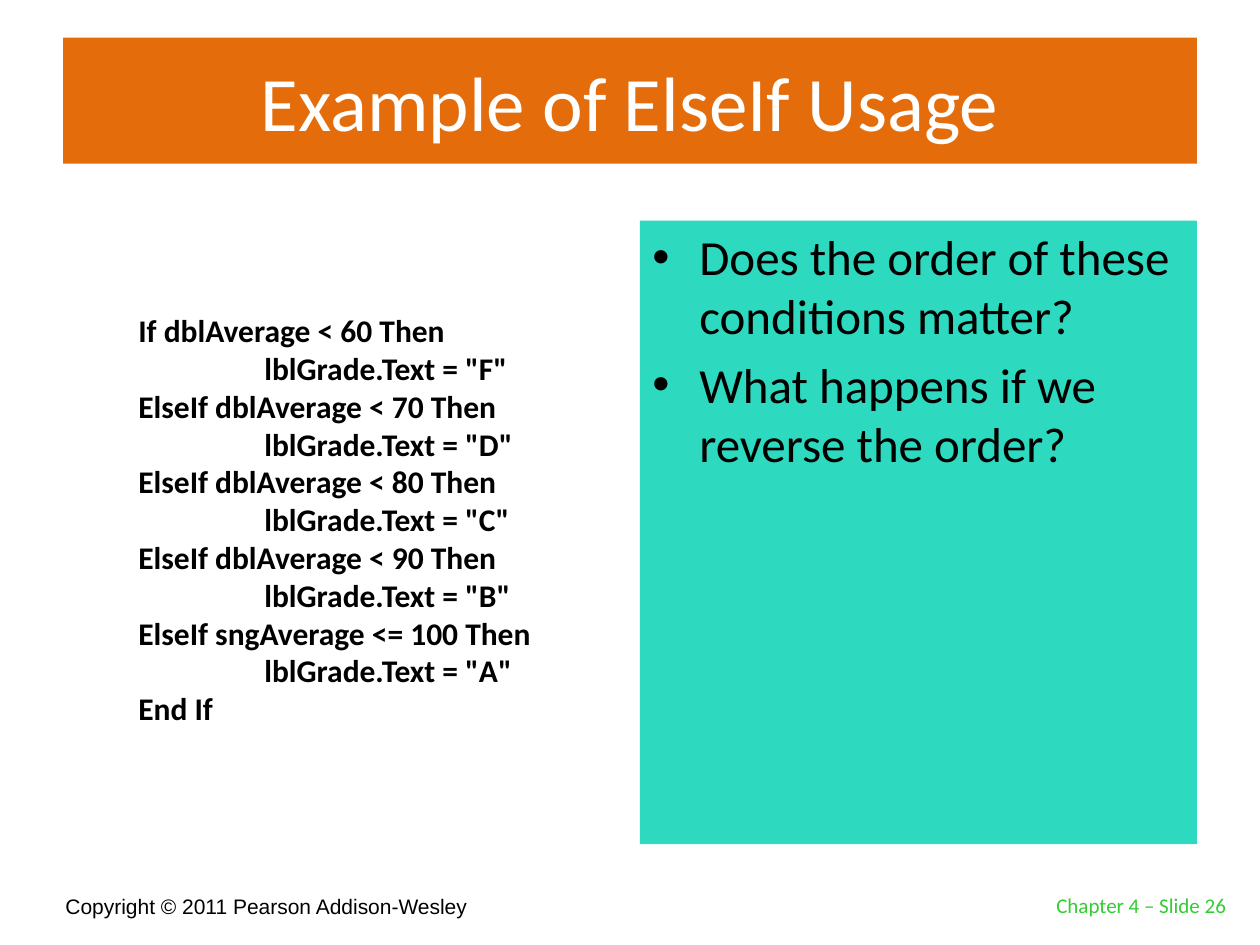
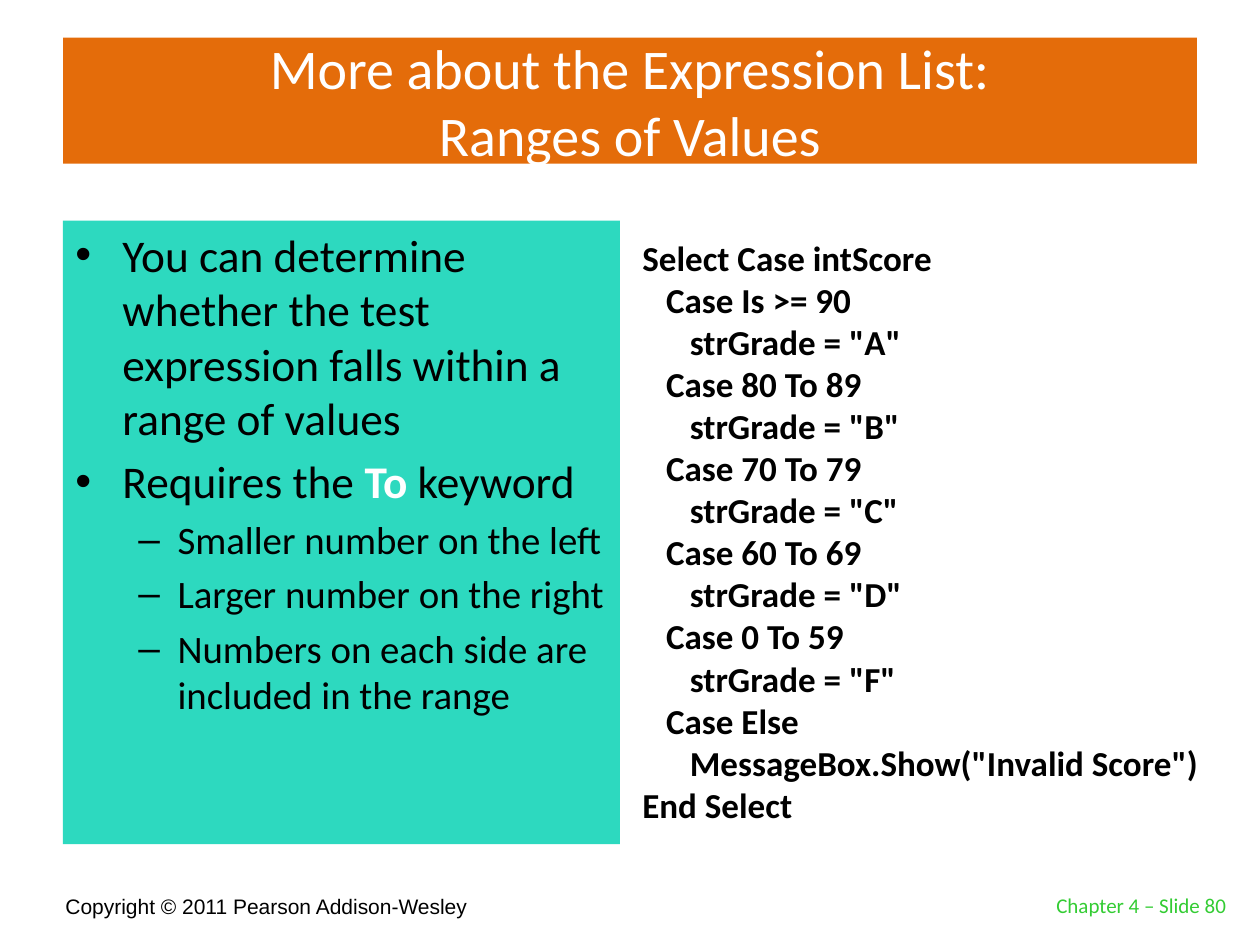
"""Build two lecture slides on ElseIf and on Select Case ranges."""
from lxml.etree import SubElement
from pptx import Presentation
from pptx.dml.color import RGBColor
from pptx.enum.shapes import MSO_SHAPE as Shape
from pptx.enum.text import MSO_ANCHOR as Anchor, MSO_AUTO_SIZE as AutoSize, PP_ALIGN as Align
from pptx.oxml.ns import qn
from pptx.util import Cm, Pt

ORANGE = RGBColor(0xE4, 0x6C, 0x0A)
TEAL = RGBColor(0x2D, 0xD9, 0xBF)
GREEN = RGBColor(0x33, 0xCC, 0x33)
BLACK = RGBColor(0, 0, 0)
WHITE = RGBColor(255, 255, 255)

MARGIN = 1.27
PANEL_WIDTH = 11.23
RIGHT_PANEL = 25.4 - MARGIN - PANEL_WIDTH
BULLETS = [("•", 0.95, 0.95), ("–", 2.06, 0.79)]

GRADE_IF = """If dblAverage < 60 Then
\tlblGrade.Text = "F"
ElseIf dblAverage < 70 Then
\tlblGrade.Text = "D"
ElseIf dblAverage < 80 Then
\tlblGrade.Text = "C"
ElseIf dblAverage < 90 Then
\tlblGrade.Text = "B"
ElseIf sngAverage <= 100 Then
\tlblGrade.Text = "A"
End If"""

GRADE_SELECT = """Select Case intScore
   Case Is >= 90
      strGrade = "A"
   Case 80 To 89
      strGrade = "B"
   Case 70 To 79
      strGrade = "C"
   Case 60 To 69
      strGrade = "D"
   Case 0 To 59
      strGrade = "F"
   Case Else
      MessageBox.Show("Invalid Score")
End Select"""


class Deck:
    """Hold the shared style and the slide being built."""

    def __init__(self):
        self.presentation = Presentation()
        self.presentation.slide_width = Cm(25.4)
        self.presentation.slide_height = Cm(19.05)
        self.slide = None

    def style(self, run, size, color=BLACK, bold=False, name="Calibri"):
        """Format one run."""
        run.font.name = name
        run.font.size = Pt(size)
        run.font.bold = bold
        run.font.color.rgb = color

    def start(self, title, title_size, number):
        """Add a slide with its title band and both footers."""
        self.slide = self.presentation.slides.add_slide(self.presentation.slide_layouts[5])
        band = self.slide.shapes.title
        band.left, band.top, band.width, band.height = Cm(MARGIN), Cm(0.76), Cm(22.86), Cm(2.54)
        band.fill.solid()
        band.fill.fore_color.rgb = ORANGE
        frame = band.text_frame
        frame.text = title
        frame.auto_size = AutoSize.NONE
        frame.vertical_anchor = Anchor.MIDDLE
        for paragraph in frame.paragraphs:
            paragraph.alignment = Align.CENTER
            self.style(paragraph.runs[0], title_size, WHITE)
        self.text("Copyright © 2011 Pearson Addison-Wesley", (1.07, 17.58, 15.44, 1.07), 12,
                  name="Arial", anchor=Anchor.BOTTOM)
        self.text(f"Chapter 4 – Slide {number}", (19.69, 17.35, 5.28, 1.27), 12,
                  color=GREEN, anchor=Anchor.BOTTOM, align=Align.RIGHT)

    def text(self, text, box, size, anchor=Anchor.TOP, align=Align.LEFT, wrap=True, **look):
        """Add a text box with one paragraph per line and return its frame."""
        frame = self.slide.shapes.add_textbox(*map(Cm, box)).text_frame
        frame.word_wrap = wrap
        frame.vertical_anchor = anchor
        frame.text = text
        for paragraph in frame.paragraphs:
            paragraph.alignment = align
            self.style(paragraph.runs[0], size, **look)
        return frame

    def code(self, text, box, size, wrap=True):
        """Add a bold listing with a tab stop for its indented lines."""
        frame = self.text(text, box, size, wrap=wrap, bold=True)
        for paragraph in frame.paragraphs:
            if paragraph.text.startswith("\t"):
                tabs = SubElement(paragraph._p.get_or_add_pPr(), qn("a:tabLst"))
                SubElement(tabs, qn("a:tab"), pos=str(Cm(2.54)), algn="l")

    def panel(self, left, items, sizes):
        """Add a teal panel of (level, text) bullets; *stars* mark keywords."""
        shape = self.slide.shapes.add_shape(
            Shape.RECTANGLE, Cm(left), Cm(4.45), Cm(PANEL_WIDTH), Cm(12.57))
        shape.shadow.inherit = False
        shape.fill.solid()
        shape.fill.fore_color.rgb = TEAL
        shape.line.fill.background()
        frame = shape.text_frame
        frame.word_wrap = True
        frame.vertical_anchor = Anchor.TOP
        for index, (level, text) in enumerate(items):
            paragraph = frame.add_paragraph() if index else frame.paragraphs[0]
            self.bullet(paragraph, level)
            paragraph.alignment = Align.LEFT
            paragraph.space_before = Pt(round(sizes[level] * 0.2, 1) if index else 0)
            for position, part in enumerate(text.split("*")):
                keyword = position % 2 == 1
                run = paragraph.add_run()
                run.text = part
                self.style(run, sizes[level], WHITE if keyword else BLACK, keyword)

    def bullet(self, paragraph, level):
        """Give a paragraph the bullet and hanging indent of its level."""
        character, margin, hanging = BULLETS[level]
        paragraph.level = level
        properties = paragraph._p.get_or_add_pPr()
        properties.set("marL", str(Cm(margin)))
        properties.set("indent", str(-Cm(hanging)))
        SubElement(properties, qn("a:buFont"), typeface="Arial")
        SubElement(properties, qn("a:buChar"), char=character)


def main():
    """Build and save the slides."""
    deck = Deck()

    deck.start("Example of ElseIf Usage", 44, 26)
    deck.panel(RIGHT_PANEL, [
        (0, "Does the order of these conditions matter?"),
        (0, "What happens if we reverse the order?"),
    ], [28])
    deck.code(GRADE_IF, (2.54, 6.15, 8.69, 8.71), 18)

    deck.start("More about the Expression List:\nRanges of Values", 32, 80)
    deck.panel(MARGIN, [
        (0, "You can determine whether the test expression falls within a range of values"),
        (0, "Requires the *To* keyword"),
        (1, "Smaller number on the left"),
        (1, "Larger number on the right"),
        (1, "Numbers on each side are included in the range"),
    ], [25.9, 22.2])
    deck.code(GRADE_SELECT, (12.7, 4.65, 11.81, 12.22), 20, wrap=False)

    deck.presentation.save("out.pptx")


if __name__ == "__main__":
    main()
